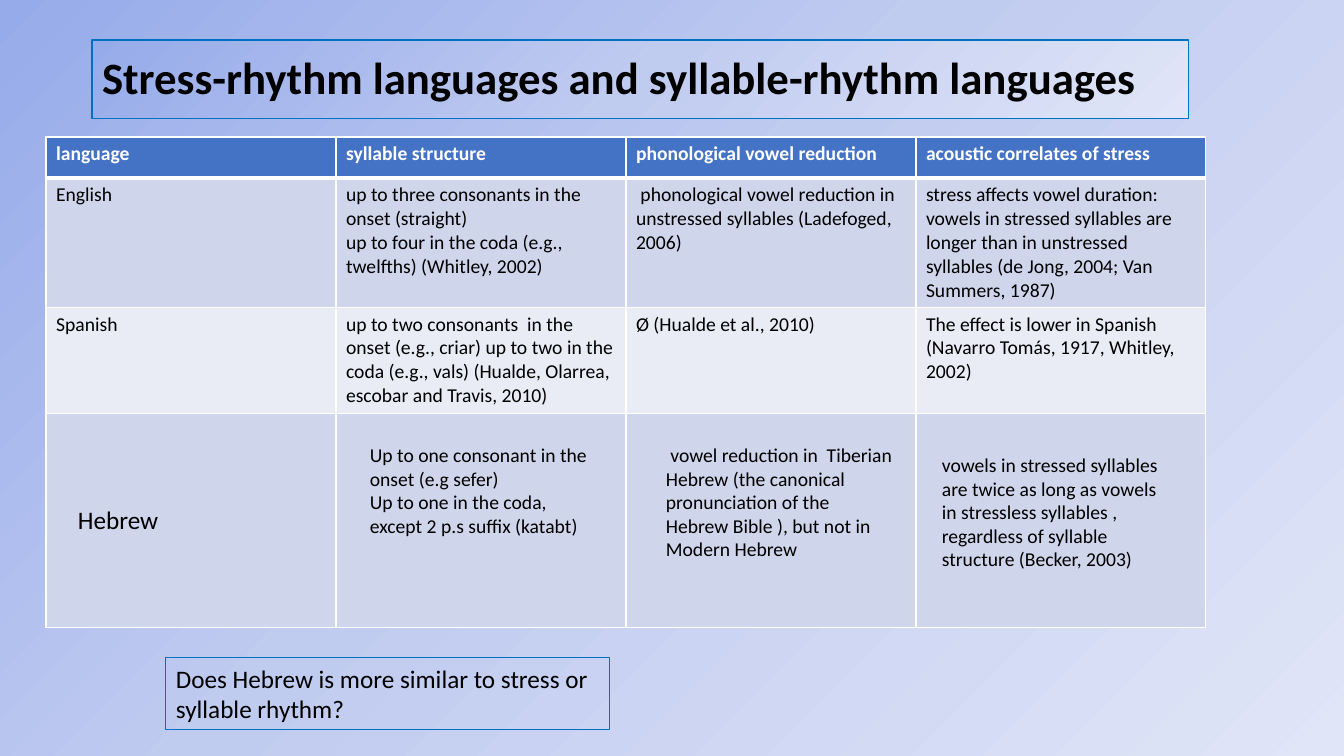
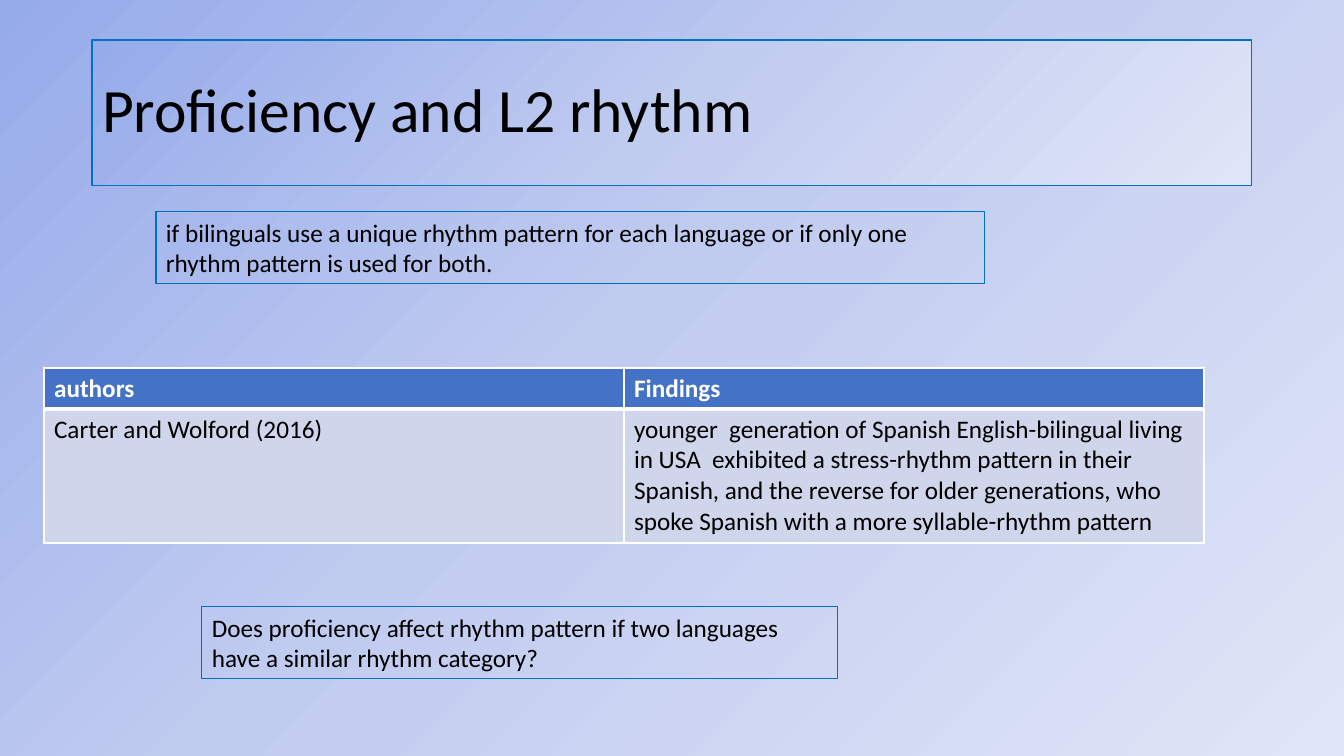
import pptx
import pptx.util
import pptx.dml.color
import pptx.enum.text
import pptx.oxml.ns
import lxml.etree

RGB = pptx.dml.color.RGBColor
qn = pptx.oxml.ns.qn
PX = 914400 / 100.8
FONT = "Calibri"
BLACK = RGB(0x00, 0x00, 0x00)
WHITE = RGB(0xFF, 0xFF, 0xFF)
OUTLINE = RGB(0x00, 0x70, 0xC0)
HEADER = RGB(0x44, 0x72, 0xC4)
BANDS = [RGB(0xE9, 0xEB, 0xF5), RGB(0xCF, 0xD5, 0xEA)]
GRADIENT = [RGB(0x96, 0xAB, 0xEA), RGB(0xC0, 0xCB, 0xF0), RGB(0xE0, 0xE5, 0xF7)]


def paint_gradient(fill, owner, middle):
    fill.gradient()
    fill.gradient_angle = 315
    stops = next(owner.iter(qn("a:gsLst")))
    for stop in list(stops):
        stops.remove(stop)
    for position, color in zip((0, middle, 100), GRADIENT):
        stop = lxml.etree.SubElement(stops, qn("a:gs"), pos=str(position * 1000))
        lxml.etree.SubElement(stop, qn("a:srgbClr"), val=str(color))


def write(frame, text, size, color=BLACK, bold=False):
    frame.text = text
    frame.word_wrap = True
    for paragraph in frame.paragraphs:
        for run in paragraph.runs:
            run.font.name = FONT
            run.font.size = pptx.util.Pt(size)
            run.font.bold = bold
            run.font.color.rgb = color


pages = [
    {
        "title": "Stress-rhythm languages and syllable-rhythm languages",
        "title_box": (92, 40, 1097, 79),
        "title_size": 32,
        "title_bold": True,
        "table_box": (46, 137, 1160, 490),
        "row_heights": [41, 129, 106, 214],
        "table_size": 14,
        "rows": [
            ["language", "syllable structure", "phonological vowel reduction",
             "acoustic correlates of stress"],
            ["English",
             "up to three consonants in the onset (straight)\n"
             "up to four in the coda (e.g., twelfths) (Whitley, 2002)",
             " phonological vowel reduction in unstressed syllables (Ladefoged, 2006)",
             "stress affects vowel duration: vowels in stressed syllables are longer than "
             "in unstressed syllables (de Jong, 2004; Van Summers, 1987)"],
            ["Spanish",
             "up to two consonants  in the onset (e.g., criar) up to two in the coda "
             "(e.g., vals) (Hualde, Olarrea, escobar and Travis, 2010)",
             "Ø (Hualde et al., 2010)",
             "The effect is lower in Spanish (Navarro Tomás, 1917, Whitley, 2002)"],
            ["", "", "", ""],
        ],
        "hebrew_notes": [
            ((68, 499, 139, 72), 18, "Hebrew"),
            ((360, 438, 250, 136), 14,
             "Up to one consonant in the onset (e.g sefer)\n"
             "Up to one in the coda, except 2 p.s suffix (katabt)"),
            ((656, 438, 250, 159), 14,
             " vowel reduction in  Tiberian Hebrew (the canonical pronunciation of the "
             "Hebrew Bible ), but not in Modern Hebrew"),
            ((932, 448, 250, 129), 14,
             "vowels in stressed syllables are twice as long as vowels in stressless "
             "syllables , regardless of syllable structure (Becker, 2003)"),
        ],
        "questions": [
            ((166, 658, 444, 72), 18,
             "Does Hebrew is more similar to stress or syllable rhythm?"),
        ],
    },
    {
        "title": "Proficiency and L2 rhythm",
        "title_box": (92, 40, 1160, 146),
        "title_size": 44,
        "title_bold": False,
        "table_box": (44, 368, 1160, 175),
        "row_heights": [41, 134],
        "table_size": 18,
        "rows": [
            ["authors", "Findings"],
            ["Carter and Wolford (2016)",
             "younger  generation of Spanish English-bilingual living in USA  exhibited a "
             "stress-rhythm pattern in their Spanish, and the reverse for older "
             "generations, who spoke Spanish with a more syllable-rhythm pattern"],
        ],
        "hebrew_notes": [],
        "questions": [
            ((156, 212, 829, 72), 18,
             "if bilinguals use a unique rhythm pattern for each language or if only one "
             "rhythm pattern is used for both."),
            ((202, 607, 636, 72), 18,
             "Does proficiency affect rhythm pattern if two languages have a similar "
             "rhythm category?"),
        ],
    },
]

deck = pptx.Presentation()
deck.slide_width = round(1344 * PX)
deck.slide_height = round(756 * PX)
paint_gradient(deck.slide_master.background.fill, deck.slide_master.element, 45)

for page in pages:
    slide = deck.slides.add_slide(deck.slide_layouts[5])

    title = slide.shapes.title
    title.left, title.top, title.width, title.height = (
        round(length * PX) for length in page["title_box"])
    paint_gradient(title.fill, title.element, 50)
    title.line.color.rgb = OUTLINE
    title.line.width = pptx.util.Pt(0.75)
    write(title.text_frame, page["title"], page["title_size"], bold=page["title_bold"])
    title.text_frame.auto_size = pptx.enum.text.MSO_AUTO_SIZE.NONE
    title.text_frame.vertical_anchor = pptx.enum.text.MSO_ANCHOR.MIDDLE
    title.text_frame.paragraphs[0].alignment = pptx.enum.text.PP_ALIGN.LEFT
    title.text_frame.paragraphs[0].line_spacing = 0.9

    rows = page["rows"]
    table = slide.shapes.add_table(
        len(rows), len(rows[0]), *(round(length * PX) for length in page["table_box"])).table
    for row, height in zip(table.rows, page["row_heights"]):
        row.height = round(height * PX)
    for row_index, texts in enumerate(rows):
        is_header = row_index == 0
        for column_index, text in enumerate(texts):
            cell = table.cell(row_index, column_index)
            write(cell.text_frame, text, page["table_size"],
                  WHITE if is_header else BLACK, is_header)
            properties = cell._tc.get_or_add_tcPr()
            for side in ("lnL", "lnR", "lnT", "lnB"):
                under_header = (row_index, side) in ((0, "lnB"), (1, "lnT"))
                border = lxml.etree.SubElement(
                    properties, qn("a:" + side),
                    w=str(pptx.util.Pt(3 if under_header else 1)))
                paint = lxml.etree.SubElement(border, qn("a:solidFill"))
                lxml.etree.SubElement(paint, qn("a:srgbClr"), val=str(WHITE))
            cell.fill.solid()
            cell.fill.fore_color.rgb = HEADER if is_header else BANDS[row_index % 2]

    for group in ("hebrew_notes", "questions"):
        for box, size, text in page[group]:
            note = slide.shapes.add_textbox(*(round(length * PX) for length in box))
            write(note.text_frame, text, size)
            note.text_frame.auto_size = pptx.enum.text.MSO_AUTO_SIZE.SHAPE_TO_FIT_TEXT
            if group == "questions":
                note.line.color.rgb = OUTLINE
                note.line.width = pptx.util.Pt(0.75)

deck.save("out.pptx")
